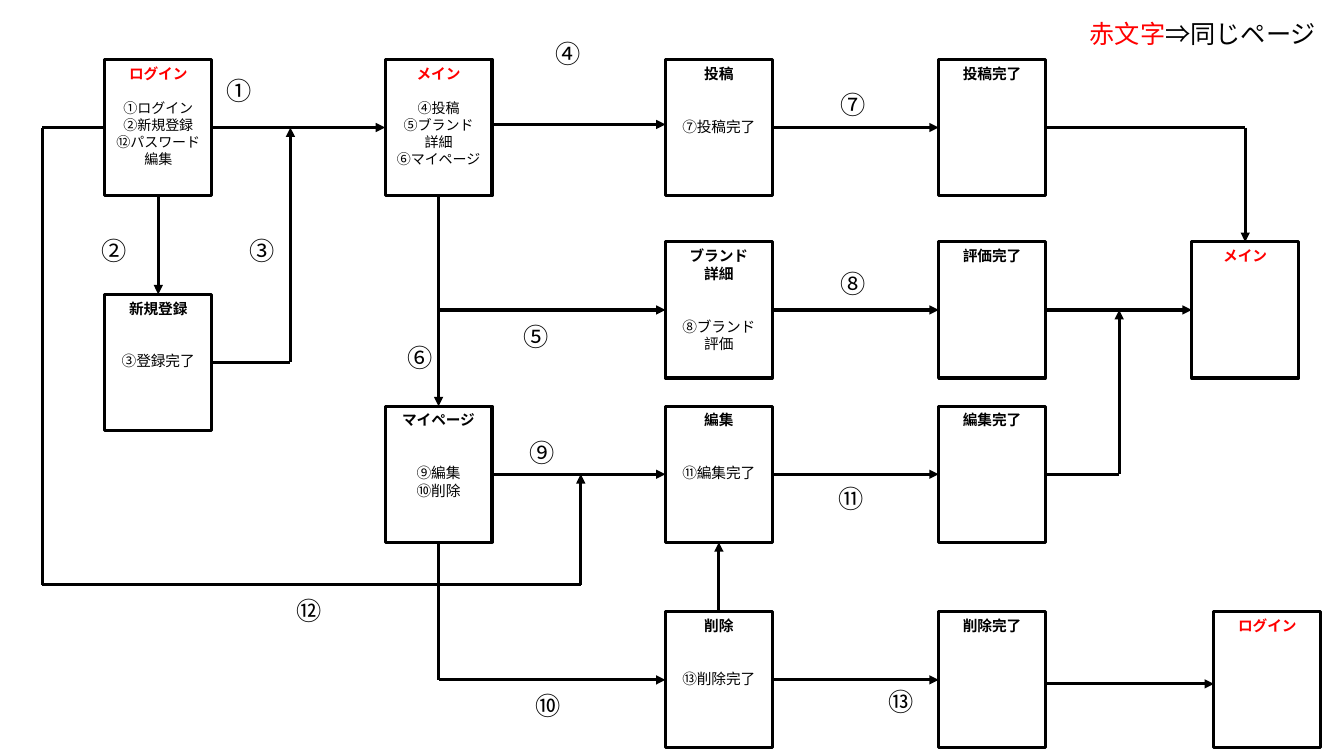
from collections import namedtuple

from lxml import etree
from pptx import Presentation
from pptx.dml.color import RGBColor
from pptx.enum.shapes import MSO_CONNECTOR, MSO_SHAPE
from pptx.enum.text import MSO_ANCHOR, PP_ALIGN
from pptx.oxml.ns import qn
from pptx.util import Inches, Pt

STRAIGHT = MSO_CONNECTOR.STRAIGHT
RECTANGLE = MSO_SHAPE.RECTANGLE
TOP = MSO_ANCHOR.TOP
LEFT, CENTER = PP_ALIGN.LEFT, PP_ALIGN.CENTER

FONT = "Noto Sans CJK JP"
BLACK, RED, WHITE = "000000", "FF0000", "FFFFFF"
LINE_WIDTH = 2.25
LEADING = 1.2
TITLE_SIZE, NUMBER_SIZE = 10.5, 18
CARD_WIDTH, CARD_HEIGHT = 1.06, 1.35
COLUMNS = [1.04 + 2.78 * index for index in range(3)] + [9.31, 11.82, 12.04]
ROWS = [0.59, 2.4, 4.03, 6.07]
REGISTER_TOP = 2.92

Box = namedtuple("Box", "left top width height")
Card = namedtuple("Card", "box title color items size blank_lines")


def card(column, top, title, items=(), color=BLACK, size=TITLE_SIZE, blank_lines=2):
    """Describe one screen of the site, placed by column and top edge."""
    box = Box(COLUMNS[column], top, CARD_WIDTH, CARD_HEIGHT)
    return Card(box, title, color, items, size, blank_lines)


CARDS = {
    "login": card(0, ROWS[0], "ログイン", ["①ログイン", "②新規登録", "⑫パスワード編集"],
                  RED, 10, 1),
    "register": card(0, REGISTER_TOP, "新規登録", ["③登録完了"]),
    "main": card(1, ROWS[0], "メイン", ["④投稿", "⑤ブランド\n詳細", "⑥マイページ"],
                 RED, 10, 1),
    "my page": card(1, ROWS[2], "マイページ", ["⑨編集", "⑩削除"]),
    "post": card(2, ROWS[0], "投稿", ["⑦投稿完了"]),
    "brand": card(2, ROWS[1], "ブランド\n詳細", ["⑧ブランド評価"]),
    "edit": card(2, ROWS[2], "編集", ["⑪編集完了"]),
    "delete": card(2, ROWS[3], "削除", ["⑬削除完了"]),
    "posted": card(3, ROWS[0], "投稿完了"),
    "rated": card(3, ROWS[1], "評価完了"),
    "edited": card(3, ROWS[2], "編集完了"),
    "deleted": card(3, ROWS[3], "削除完了"),
    "back to main": card(4, ROWS[1], "メイン", color=RED),
    "back to login": card(5, ROWS[3], "ログイン", color=RED),
}

NUMBERS = {
    "①": (2.15, 0.7), "②": (0.91, 2.29), "③": (2.38, 2.29), "④": (5.41, 0.33),
    "⑤": (5.09, 3.14), "⑥": (3.94, 3.35), "⑦": (8.24, 0.84), "⑧": (8.24, 2.61),
    "⑨": (5.15, 4.29), "⑩": (5.21, 6.8), "⑪": (8.22, 4.75), "⑫": (2.84, 5.86),
    "⑬": (8.71, 6.76),
}


def rgb(value):
    """Turn a hex string into a colour."""
    return RGBColor.from_string(value)


def edge(name, side, shift=0):
    """Return the middle of one side of a card, moved down by shift."""
    left, top, width, height = CARDS[name].box
    across, down = {"left": (0, 0.5), "right": (1, 0.5),
                    "top": (0.5, 0), "bottom": (0.5, 1)}[side]
    return left + across * width, top + down * height + shift


def write(para, spans, size, bold=False, align=LEFT):
    """Fill a paragraph with (text, colour) spans in the slide's font."""
    para.alignment = align
    para.line_spacing = Pt(size * LEADING)
    for text, color in spans:
        for index, line in enumerate(text.split("\n")):
            if index:
                para.add_line_break()
            span = para.add_run()
            span.text = line
            span.font.size = Pt(size)
            span.font.bold = bold
            span.font.color.rgb = rgb(color)
            span.font.name = FONT
            properties = span.font._element
            etree.SubElement(properties, qn("a:ea"), typeface=FONT)


def draw_card(page, screen):
    """Draw a screen as a framed box with its title and numbered actions."""
    shape = page.shapes.add_shape(RECTANGLE, *map(Inches, screen.box))
    shape.shadow.inherit = False
    shape.fill.solid()
    shape.fill.fore_color.rgb = rgb(WHITE)
    shape.line.color.rgb = rgb(BLACK)
    shape.line.width = Pt(LINE_WIDTH)
    frame = shape.text_frame
    frame.word_wrap = True
    frame.vertical_anchor = TOP
    write(frame.paragraphs[0], [(screen.title, screen.color)], TITLE_SIZE, True, CENTER)
    for index, item in enumerate(screen.items):
        para = frame.add_paragraph()
        write(para, [(item, BLACK)], screen.size, align=CENTER)
        if index == 0:
            para.space_before = Pt(screen.blank_lines * TITLE_SIZE * LEADING)


def draw_route(page, points):
    """Join the points with straight lines, ending in an arrowhead."""
    for start, end in zip(points, points[1:]):
        line = page.shapes.add_connector(STRAIGHT, *map(Inches, start + end))
        line.line.color.rgb = rgb(BLACK)
        line.line.width = Pt(LINE_WIDTH)
        etree.SubElement(line._element.spPr, qn("a:effectLst"))
    etree.SubElement(line.line._get_or_add_ln(), qn("a:tailEnd"), type="triangle")


def draw_label(page, box, spans):
    """Write a free line of text in the given box."""
    frame = page.shapes.add_textbox(*map(Inches, box)).text_frame
    frame.word_wrap = True
    write(frame.paragraphs[0], spans, NUMBER_SIZE)


def draw_routes(page):
    """Draw every path between the screens."""
    direct = [("login", "main", 0), ("main", "post", -0.03), ("post", "posted", 0),
              ("brand", "rated", 0), ("rated", "back to main", 0),
              ("my page", "edit", 0), ("edit", "edited", 0),
              ("delete", "deleted", 0), ("deleted", "back to login", 0.04)]
    for start, end, shift in direct:
        draw_route(page, [edge(start, "right", shift), edge(end, "left", shift)])
    for start, end in [("login", "register"), ("main", "my page")]:
        draw_route(page, [edge(start, "bottom"), edge(end, "top")])
    draw_route(page, [edge("delete", "top"), edge("edit", "bottom")])

    top_y, brand_y, edit_y, delete_y = (
        edge(name, "left")[1] for name in ("login", "brand", "edit", "delete"))
    main_x = edge("main", "bottom")[0]
    register = edge("register", "right")
    final_x = edge("back to main", "top")[0]
    register_x, edited_x, password_x, outer_x, lower_y = 2.88, 11.1, 5.76, 0.42, 5.8
    draw_route(page, [(main_x, brand_y), edge("brand", "left")])
    draw_route(page, [register, (register_x, register[1]), (register_x, top_y)])
    draw_route(page, [edge("edited", "right"), (edited_x, edit_y), (edited_x, brand_y)])
    draw_route(page, [edge("posted", "right"), (final_x, top_y),
                      edge("back to main", "top")])
    draw_route(page, [edge("my page", "bottom"), (main_x, delete_y),
                      edge("delete", "left")])
    draw_route(page, [edge("login", "left"), (outer_x, top_y), (outer_x, lower_y),
                      (password_x, lower_y), (password_x, edit_y)])


def draw_flow(page):
    """Draw the whole screen flow with its legend."""
    for screen in CARDS.values():
        draw_card(page, screen)
    draw_routes(page)
    for number, place in NUMBERS.items():
        draw_label(page, Box(*place, 0.49, 0.4), [(number, BLACK)])
    draw_label(page, Box(10.71, 0.13, 2.6, 0.4),
               [("赤文字", RED), ("⇒同じページ", BLACK)])


deck = Presentation()
deck.slide_width, deck.slide_height = Inches(13.33), Inches(7.5)
draw_flow(deck.slides.add_slide(deck.slide_layouts[6]))
deck.save("out.pptx")
